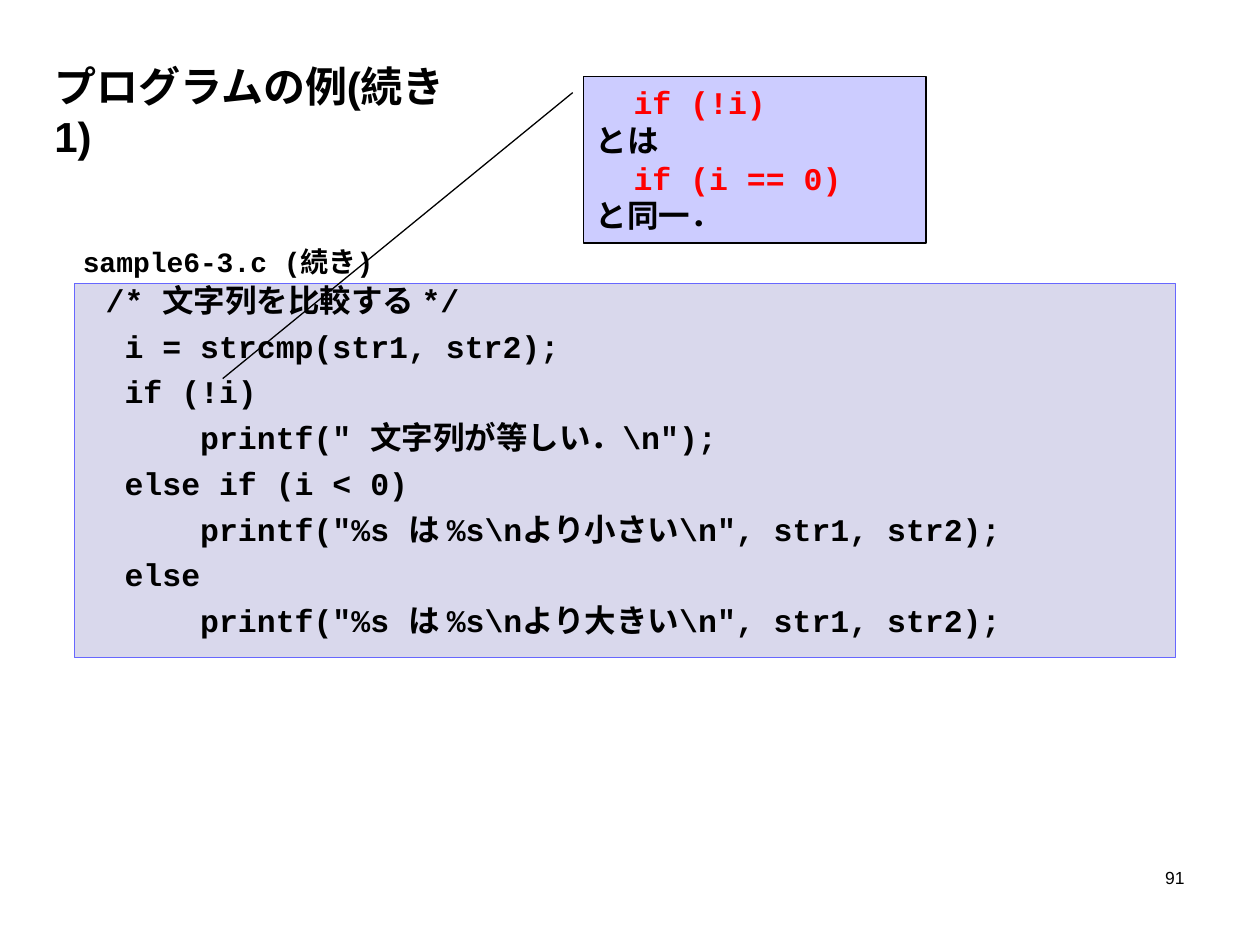
from pptx import Presentation
from pptx.dml.color import RGBColor
from pptx.enum.shapes import MSO_SHAPE
from pptx.enum.text import MSO_ANCHOR, MSO_AUTO_SIZE, PP_ALIGN
from pptx.util import Cm, Pt

RECT, CALLOUT = MSO_SHAPE.RECTANGLE, MSO_SHAPE.LINE_CALLOUT_1_BORDER_AND_ACCENT_BAR
CALLOUT = MSO_SHAPE.LINE_CALLOUT_1
TOP, LEFT, RIGHT = MSO_ANCHOR.TOP, PP_ALIGN.LEFT, PP_ALIGN.RIGHT
FIXED = MSO_AUTO_SIZE.NONE

COLORS = {
    "black": "000000", "red": "FF0000",
    "panel": "D9D8EC", "edge": "6767FF", "note": "CCCCFF",
}
SANS, MONO = "Arial", "Courier New"

TITLE = "プログラムの例(続き1)"
LABEL = "sample6-3.c (続き)"
PAGE = "91"
CODE = [
    " /* 文字列を比較する */",
    "  i = strcmp(str1, str2);",
    "  if (!i)",
    "      printf(\" 文字列が等しい．\\n\");",
    "  else if (i < 0)",
    "      printf(\"%s は %s\\nより小さい\\n\", str1, str2);",
    "  else",
    "      printf(\"%s は %s\\nより大きい\\n\", str1, str2);",
]
NOTE = [
    ("  if (!i)", "red"),
    ("とは", "black"),
    ("  if (i == 0)", "red"),
    ("と同一．", "black"),
]
POINTER = (0.095, -0.031, 1.816, -1.052)  # start y, x and end y, x


def rgb(name):
    return RGBColor.from_string(COLORS[name])


def write(shape, lines, font, size, bold=True, align=LEFT, gap=0, pitch=None):
    """Fill a shape with (text, colour) lines, one paragraph each."""
    frame = shape.text_frame
    frame.word_wrap = True
    frame.auto_size = FIXED
    frame.vertical_anchor = TOP
    for n, (text, color) in enumerate(lines):
        para = frame.add_paragraph() if n else frame.paragraphs[0]
        para.alignment = align
        para.space_before = Pt(gap if n else 0)
        if pitch:
            para.line_spacing = pitch
        run = para.add_run()
        run.text = text
        run.font.name = font
        run.font.size = Pt(size)
        run.font.bold = bold
        run.font.color.rgb = rgb(color)


def place(shape, *box):
    shape.left, shape.top, shape.width, shape.height = map(Cm, box)


def add_panel(slide, kind, box, fill, edge):
    shape = slide.shapes.add_shape(kind, *map(Cm, box))
    shape.shadow.inherit = False
    shape.fill.solid()
    shape.fill.fore_color.rgb = rgb(fill)
    shape.line.color.rgb = rgb(edge)
    shape.line.width = Pt(0.75)
    return shape


def add_text(slide, box, text, *style, **more):
    shape = slide.shapes.add_textbox(*map(Cm, box))
    write(shape, [(text, "black")], *style, **more)


def main():
    deck = Presentation()
    deck.slide_width, deck.slide_height = Cm(25.4), Cm(19.05)
    slide = deck.slides.add_slide(deck.slide_layouts[5])

    title = slide.shapes.title
    place(title, 0.84, 1.09, 9.07, 1.27)
    write(title, [(TITLE, "black")], SANS, 24)

    code = add_panel(slide, RECT, (1.5, 5.72, 22.2, 7.54), "panel", "edge")
    write(code, [(line, "black") for line in CODE], MONO, 18, gap=9.9, pitch=0.75)

    add_text(slide, (1.42, 4.8, 7.26, 0.94), LABEL, MONO, 16)

    note = add_panel(slide, CALLOUT, (11.76, 1.55, 6.91, 3.35), "note", "black")
    for n, value in enumerate(POINTER):
        note.adjustments[n] = value
    write(note, NOTE, MONO, 18)

    add_text(slide, (18.21, 17.35, 5.92, 1.27), PAGE, SANS, 10, bold=False, align=RIGHT)
    deck.save("out.pptx")


if __name__ == "__main__":
    main()
